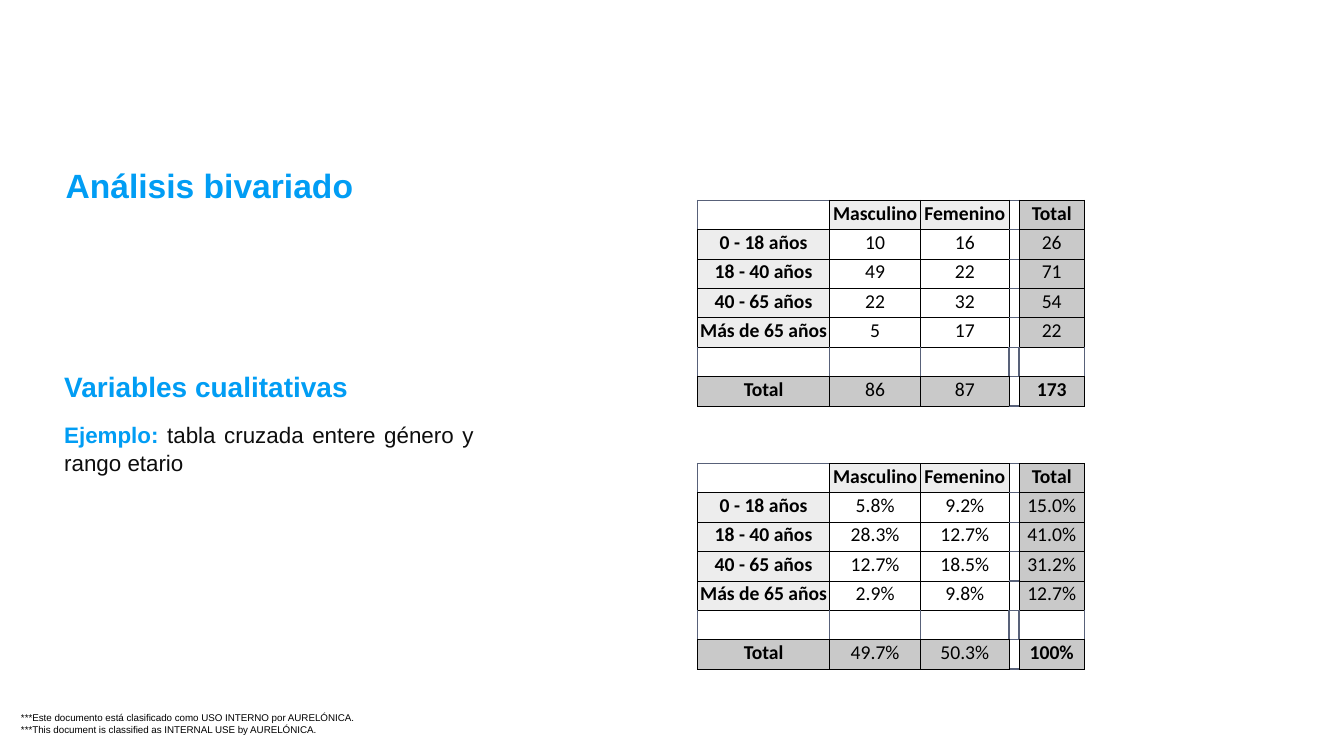
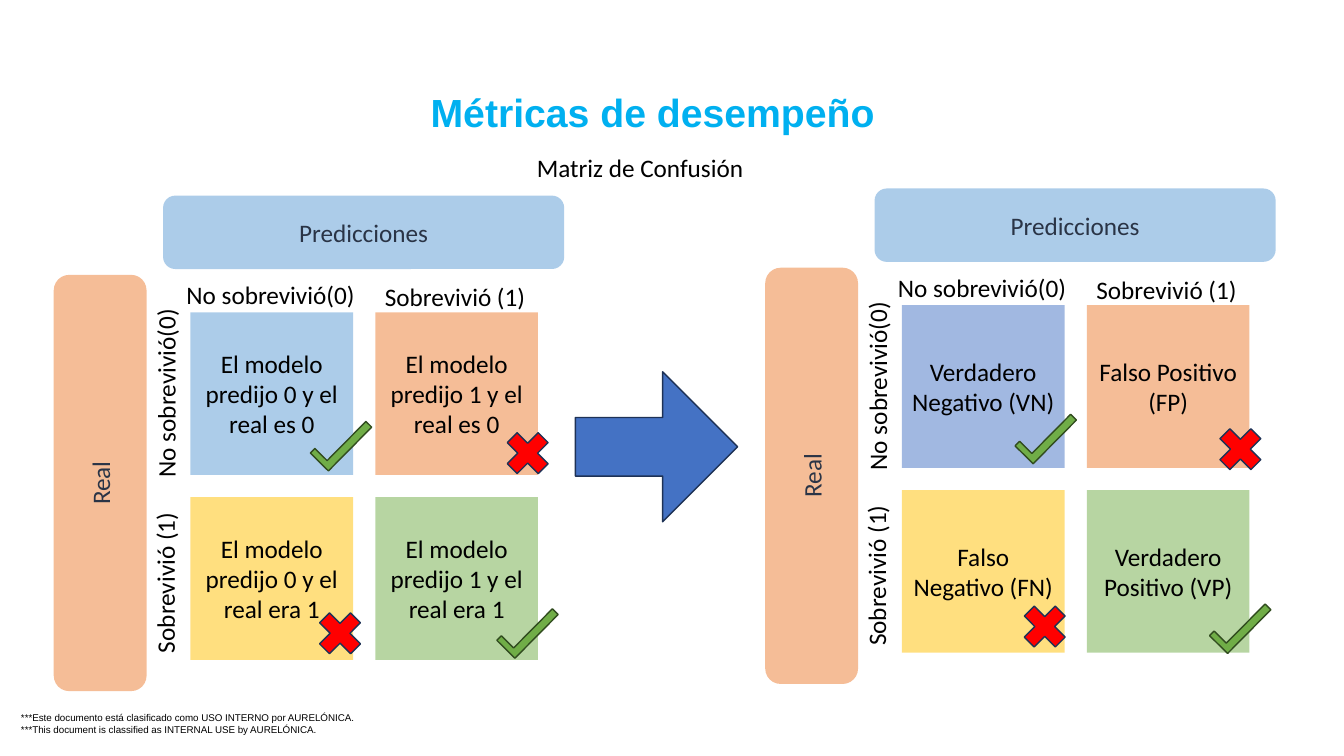
from typing import NamedTuple

import lxml.etree
import pptx
import pptx.dml.color
import pptx.enum.shapes
import pptx.enum.text
import pptx.oxml.ns
import pptx.shapes.autoshape
import pptx.shapes.base
import pptx.slide
import pptx.table
import pptx.text.text
import pptx.util

RGB = pptx.dml.color.RGBColor
Cm = pptx.util.Cm
Pt = pptx.util.Pt
qn = pptx.oxml.ns.qn
KIND = pptx.enum.shapes.MSO_SHAPE
ALIGN = pptx.enum.text.PP_ALIGN
ANCHOR = pptx.enum.text.MSO_ANCHOR
FIT = pptx.enum.text.MSO_AUTO_SIZE

# Colours and fonts
BLACK = RGB(0x00, 0x00, 0x00)
INK = RGB(0x0D, 0x0D, 0x0D)
NAVY = RGB(0x2A, 0x34, 0x46)
AZURE = RGB(0x01, 0x9D, 0xF4)
CYAN = RGB(0x00, 0xB0, 0xF0)
SKY = RGB(0x5B, 0x9B, 0xD5)
BLUE = RGB(0x44, 0x72, 0xC4)
GREEN = RGB(0x70, 0xAD, 0x47)
GOLD = RGB(0xFF, 0xC0, 0x00)
ORANGE = RGB(0xED, 0x7D, 0x31)
RED = RGB(0xFF, 0x00, 0x00)
PALE = RGB(0xED, 0xED, 0xED)
GREY = RGB(0xC9, 0xC9, 0xC9)
SLATE = RGB(0x58, 0x61, 0x79)
DARK_BLUE = RGB(0x1E, 0x32, 0x56)
DARK_GREEN = RGB(0x31, 0x4C, 0x1F)
SANS = "Arial"
BODY = "Calibri"

FOOTER = ("***Este documento está clasificado como USO INTERNO por AURELÓNICA.\v"
          "***This document is classified as INTERNAL USE by AURELÓNICA.")


class Box(NamedTuple):
    """Left, top, width and height in centimetres."""
    left: float
    top: float
    width: float
    height: float

    def size(self) -> list[pptx.util.Cm]:
        return [Cm(side) for side in self]

    def shift(self, right: float, down: float) -> "Box":
        return Box(self.left + right, self.top + down, self.width, self.height)


class Font(NamedTuple):
    name: str
    size: float
    color: RGB
    bold: bool = False


class Tile(NamedTuple):
    text: str
    color: RGB
    good: bool
    mark: tuple[float, float]


class Label(NamedTuple):
    text: str
    box: Box
    turn: float = 0


class Matrix(NamedTuple):
    right: float
    down: float
    tiles: list[Tile]


PLAIN = Font(BODY, 18, BLACK)
HEAD = Font(BODY, 18, NAVY)


# Shared helpers
def paint(run, font: Font) -> None:
    run.font.name = font.name
    run.font.size = Pt(font.size)
    run.font.bold = font.bold
    run.font.color.rgb = font.color


def write(frame: pptx.text.text.TextFrame, text: str, font: Font,
          align: ALIGN = ALIGN.LEFT, anchor: ANCHOR = ANCHOR.TOP) -> None:
    frame.text = text
    frame.vertical_anchor = anchor
    for par in frame.paragraphs:
        par.alignment = align
        for run in par.runs:
            paint(run, font)


def add_text(shapes, box: Box, text: str, font: Font,
             anchor: ANCHOR = ANCHOR.TOP, wrap: bool = True) -> pptx.shapes.autoshape.Shape:
    shape = shapes.add_textbox(*box.size())
    shape.text_frame.word_wrap = wrap
    shape.text_frame.auto_size = FIT.NONE if wrap else FIT.SHAPE_TO_FIT_TEXT
    write(shape.text_frame, text, font, anchor=anchor)
    return shape


def set_title(slide: pptx.slide.Slide, box: Box, text: str, font: Font,
              align: ALIGN, anchor: ANCHOR) -> None:
    title = slide.shapes.title
    title.left, title.top, title.width, title.height = box.size()
    title.text_frame.auto_size = FIT.NONE
    write(title.text_frame, text, font, align, anchor)


def add_footer(slide: pptx.slide.Slide, master: pptx.slide.SlideMaster) -> None:
    """Make the footer and move it to the master, so all slides show it."""
    foot = add_text(slide.shapes, Box(0.53, 17.93, 8.48, 0.58), FOOTER, Font(SANS, 7, BLACK))
    frame = foot.text_frame
    frame.margin_left = frame.margin_top = frame.margin_right = frame.margin_bottom = 0
    master.shapes.element.append(foot.element)


def add_form(shapes, kind: KIND, box: Box, fill: RGB, line: RGB | None = None,
             turn: float = 0, alpha: int = 100) -> pptx.shapes.autoshape.Shape:
    form = shapes.add_shape(kind, *box.size())
    form.shadow.inherit = False
    form.rotation = turn
    form.fill.solid()
    form.fill.fore_color.rgb = fill
    if alpha < 100:
        color = form.element.spPr.find(qn("a:solidFill"))[0]
        lxml.etree.SubElement(color, qn("a:alpha"), val=str(alpha * 1000))
    if line is None:
        form.line.fill.background()
    else:
        form.line.color.rgb = line
        form.line.width = Pt(1)
    return form


# Cross tables
AGES = ["0 - 18 años", "18 - 40 años", "40 - 65 años", "Más de 65 años"]
WIDTHS = [3.33, 2.29, 2.23, 0.25, 1.65]
ROW = 0.74
COUNTS = ["10 16 26", "49 22 71", "22 32 54", "5 17 22", "86 87 173"]
SHARES = ["5.8% 9.2% 15.0%", "28.3% 12.7% 41.0%", "12.7% 18.5% 31.2%",
          "2.9% 9.8% 12.7%", "49.7% 50.3% 100%"]
SIDES = {"a:lnL": (0, -1), "a:lnR": (0, 1), "a:lnT": (-1, 0), "a:lnB": (1, 0)}


def make_grid(values: list[str]) -> list[list[str]]:
    grid = [["", "Masculino", "Femenino", "", "Total"]]
    for name, line in zip(AGES + ["Total"], values):
        male, female, total = line.split()
        grid.append([name, male, female, "", total])
    grid.insert(-1, [""] * len(WIDTHS))
    return grid


def add_edge(cell: pptx.table._Cell, side: str, color: RGB, width: float) -> None:
    edge = lxml.etree.SubElement(cell._tc.get_or_add_tcPr(), qn(side), w=str(Pt(width)))
    fill = lxml.etree.SubElement(edge, qn("a:solidFill"))
    lxml.etree.SubElement(fill, qn("a:srgbClr"), val=str(color))


def fill_cell(cell: pptx.table._Cell, grid: list[list[str]], row: int, col: int) -> None:
    text = grid[row][col]
    last_row, last_col = row == len(grid) - 1, col == len(WIDTHS) - 1
    bold = row == 0 or col == 0 or (last_row and last_col)
    cell.margin_left = cell.margin_right = cell.margin_top = Cm(0.02)
    cell.margin_bottom = Cm(0.11)
    write(cell.text_frame, text, Font(BODY, 14, BLACK, bold), ALIGN.CENTER)
    cell.vertical_anchor = ANCHOR.MIDDLE
    if not text:
        par = cell.text_frame.paragraphs[0]
        lxml.etree.SubElement(par._p, qn("a:endParaRPr"), sz="1400")
    # An edge is black where it touches a cell with text
    for side, (down, right) in SIDES.items():
        y, x = row + down, col + right
        near = 0 <= y < len(grid) and 0 <= x < len(WIDTHS) and grid[y][x]
        if text or near:
            add_edge(cell, side, BLACK, 0.75)
        else:
            add_edge(cell, side, SLATE, 1)
    if text and (bold or last_row or last_col):
        cell.fill.solid()
        cell.fill.fore_color.rgb = GREY if last_row or last_col else PALE
    else:
        cell.fill.background()


def add_cross(slide: pptx.slide.Slide, top: float, values: list[str]) -> None:
    grid = make_grid(values)
    box = Box(17.58, top, sum(WIDTHS), ROW * len(grid))
    table = slide.shapes.add_table(len(grid), len(WIDTHS), *box.size()).table
    table.first_row = table.horz_banding = False
    for col, width in enumerate(WIDTHS):
        table.columns[col].width = Cm(width)
    for row in range(len(grid)):
        table.rows[row].height = Cm(ROW)
        for col in range(len(WIDTHS)):
            fill_cell(table.cell(row, col), grid, row, col)


# Confusion matrices
SIDE, PITCH = 4.1, 4.66
LABELS = [
    Label("No sobrevivió(0)", Box(4.45, 6.91, 4.8, 1.02)),
    Label("Sobrevivió (1)", Box(9.45, 6.96, 4.09, 1.02)),
    Label("No sobrevivió(0)", Box(1.78, 9.37, 4.8, 1.02), 270),
    Label("Sobrevivió (1)", Box(2.11, 14.15, 4.09, 1.02), 270),
]
MODEL = Matrix(0, 0, [
    Tile("El modelo predijo 0 y el real es 0", SKY, True, (7.82, 10.77)),
    Tile("El modelo predijo 1 y el real es 0", ORANGE, False, (12.55, 10.67)),
    Tile("El modelo predijo 0 y el real era 1", GOLD, False, (7.82, 15.21)),
    Tile("El modelo predijo 1 y el real era 1", GREEN, True, (12.52, 15.49)),
])
TERMS = Matrix(17.93, -0.18, [
    Tile("Verdadero Negativo (VN)", BLUE, True, (25.58, 10.59)),
    Tile("Falso Positivo (FP)", ORANGE, False, (30.51, 10.57)),
    Tile("Falso Negativo (FN)", GOLD, False, (25.58, 15.04)),
    Tile("Verdadero Positivo (VP)", GREEN, True, (30.48, 15.37)),
])


def add_matrix(slide: pptx.slide.Slide, matrix: Matrix) -> None:
    shapes = slide.shapes.add_group_shape().shapes
    move = (matrix.right, matrix.down)
    for spot, tile in enumerate(matrix.tiles):
        row, col = divmod(spot, 2)
        box = Box(4.8 + col * PITCH, 7.87 + row * PITCH, SIDE, SIDE).shift(*move)
        form = add_form(shapes, KIND.RECTANGLE, box, tile.color, alpha=50)
        write(form.text_frame, tile.text, PLAIN, ALIGN.CENTER, ANCHOR.MIDDLE)
    bars = [(Label("Predicciones", Box(4.11, 4.93, 10.11, 1.85)), SKY),
            (Label("Real", Box(-2.72, 11, 10.49, 2.34), 270), ORANGE)]
    for bar, color in bars:
        form = add_form(shapes, KIND.ROUNDED_RECTANGLE, bar.box.shift(*move), color,
                        turn=bar.turn, alpha=50)
        write(form.text_frame, bar.text, HEAD, ALIGN.CENTER, ANCHOR.MIDDLE)
    for label in LABELS:
        text = add_text(shapes, label.box.shift(*move), label.text, PLAIN, wrap=False)
        text.rotation = label.turn


def add_mark(slide: pptx.slide.Slide, tile: Tile) -> None:
    if tile.good:
        tick = add_form(slide.shapes, KIND.RECTANGLE, Box(*tile.mark, 1.55, 0.64),
                        GREEN, DARK_GREEN, 314.7)
        # The corner preset is set in XML
        shape = tick.element.spPr.find(qn("a:prstGeom"))
        shape.set("prst", "corner")
        guides = shape.find(qn("a:avLst"))
        for name, value in (("adj1", 32000), ("adj2", 25200)):
            lxml.etree.SubElement(guides, qn("a:gd"), name=name, fmla=f"val {value}")
    else:
        add_form(slide.shapes, KIND.MATH_MULTIPLY, Box(*tile.mark, 1.5, 1.5), RED, DARK_BLUE)


# Slides
def draw_cross(slide: pptx.slide.Slide) -> None:
    set_title(slide, Box(1.4, 4.04, 19.05, 1.42), "Análisis bivariado",
              Font(SANS, 24, AZURE, True), ALIGN.LEFT, ANCHOR.TOP)
    add_text(slide.shapes, Box(1.37, 9.02, 8.86, 1.42), "Variables cualitativas",
             Font(SANS, 20, AZURE, True), ANCHOR.MIDDLE)
    note = add_text(slide.shapes, Box(1.37, 10.46, 10.82, 1.85), "Ejemplo:",
                    Font(SANS, 16, AZURE, True))
    par = note.text_frame.paragraphs[0]
    par.alignment = ALIGN.JUSTIFY
    par.line_spacing = 1.05
    rest = par.add_run()
    rest.text = " tabla cruzada entere género y rango etario"
    paint(rest, Font(SANS, 16, INK))
    add_cross(slide, 5.05, COUNTS)
    add_cross(slide, 11.68, SHARES)


def draw_scores(slide: pptx.slide.Slide) -> None:
    set_title(slide, Box(8.38, 2.11, 16.13, 1.42), "Métricas de desempeño",
              Font(SANS, 28, CYAN, True), ALIGN.CENTER, ANCHOR.MIDDLE)
    add_text(slide.shapes, Box(13.28, 3.71, 5.77, 1.02), "Matriz de Confusión",
             PLAIN, wrap=False)
    for matrix in (MODEL, TERMS):
        add_matrix(slide, matrix)
    arrow = add_form(slide.shapes, KIND.RIGHT_ARROW, Box(14.5, 9.37, 4.09, 3.78),
                     BLUE, DARK_BLUE)
    arrow.adjustments[0] = 0.39
    for tile in MODEL.tiles + TERMS.tiles:
        add_mark(slide, tile)


def main() -> None:
    deck = pptx.Presentation()
    deck.slide_width, deck.slide_height = Cm(33.87), Cm(19.05)
    layout = deck.slide_layouts[5]
    first, second = (deck.slides.add_slide(layout) for _ in range(2))
    add_footer(first, deck.slide_master)
    draw_cross(first)
    draw_scores(second)
    deck.save("out.pptx")


if __name__ == "__main__":
    main()
